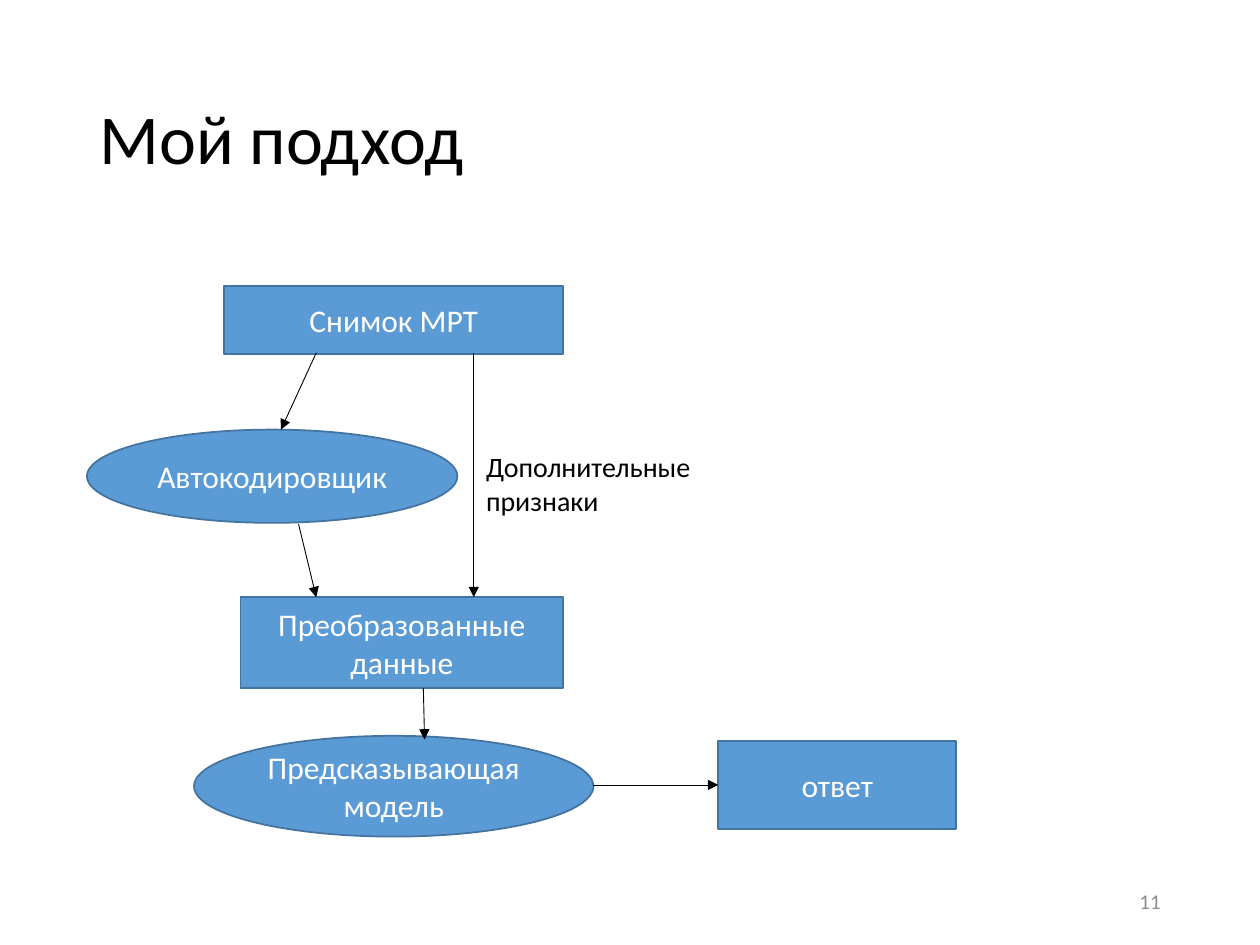
from pptx import Presentation
from pptx.dml.color import RGBColor
from pptx.enum.shapes import MSO_CONNECTOR as Conn, MSO_SHAPE as Kind
from pptx.enum.text import MSO_ANCHOR as Anchor, PP_ALIGN as Align
from pptx.oxml.ns import qn
from pptx.util import Inches, Pt
from lxml.etree import SubElement

BLUE = RGBColor(0x5B, 0x9B, 0xD5)
EDGE = RGBColor(0x43, 0x73, 0x9E)
BLACK = RGBColor(0, 0, 0)
WHITE = RGBColor(255, 255, 255)
GRAY = RGBColor(0x8C, 0x8C, 0x8C)

deck = Presentation()
deck.slide_width, deck.slide_height = Inches(10), Inches(7.5)
slide = deck.slides.add_slide(deck.slide_layouts[6])
shapes = slide.shapes


def write(shape, text, size, color, align, anchor=Anchor.MIDDLE):
    frame = shape.text_frame
    frame.word_wrap = True
    frame.vertical_anchor = anchor
    para = frame.paragraphs[0]
    para.text = text
    para.alignment = align
    para.font.name = "Calibri"
    para.font.size = Pt(size)
    para.font.color.rgb = color
    return para


nodes = {}
for text, kind, *box in [
    ("Снимок МРТ", Kind.RECTANGLE, 1.78, 2.27, 2.69, 0.54),
    ("Преобразованные данные", Kind.RECTANGLE, 1.91, 4.74, 2.56, 0.72),
    ("Автокодировщик", Kind.OVAL, 0.69, 3.41, 2.94, 0.74),
    ("Предсказывающая модель", Kind.OVAL, 1.54, 5.84, 3.17, 0.8),
    ("ответ", Kind.RECTANGLE, 5.7, 5.88, 1.89, 0.7),
]:
    node = shapes.add_shape(kind, *map(Inches, box))
    node.shadow.inherit = False
    node.fill.solid()
    node.fill.fore_color.rgb = BLUE
    node.line.color.rgb = EDGE
    node.line.width = Pt(1)
    write(node, text, 18, WHITE, Align.CENTER)
    nodes[text] = node

for ends in [
    (2.51, 2.8, 2.23, 3.41),
    (3.76, 2.8, 3.76, 4.74),
    (2.37, 4.16, 2.51, 4.74),
    (3.36, 5.46, 3.37, 5.87),
    (4.71, 6.23, 5.7, 6.23),
]:
    arrow = shapes.add_connector(Conn.STRAIGHT, *map(Inches, ends))
    arrow.line.color.rgb = BLACK
    arrow.line.width = Pt(0.5)
    SubElement(arrow.line._get_or_add_ln(), qn("a:tailEnd"), type="triangle")
    SubElement(arrow._element.spPr, qn("a:effectLst"))
arrow.end_connect(nodes["ответ"], 1)

for text, size, color, align, anchor, gap, *box in [
    ("Мой подход", 40, BLACK, Align.LEFT, Anchor.MIDDLE, 0.9, 0.69, 0.4, 8.62, 1.45),
    ("11", 12, GRAY, Align.RIGHT, Anchor.MIDDLE, 1.0, 7.06, 6.95, 2.25, 0.4),
    ("Дополнительные признаки", 16, BLACK, Align.LEFT, Anchor.TOP, 1.0, 3.76, 3.52, 2.34, 0.64),
]:
    label = shapes.add_textbox(*map(Inches, box))
    write(label, text, size, color, align, anchor).line_spacing = gap

deck.save("out.pptx")
